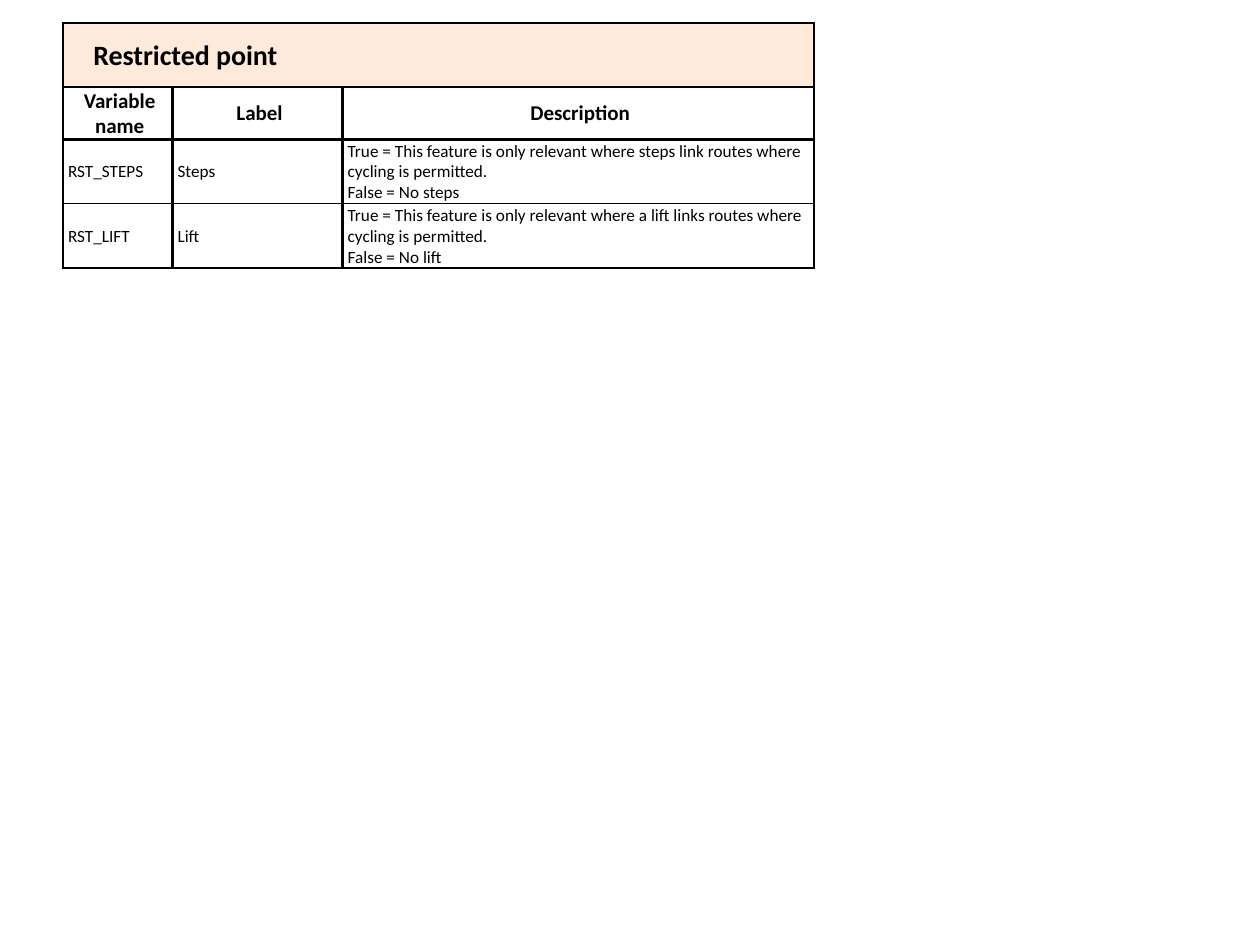
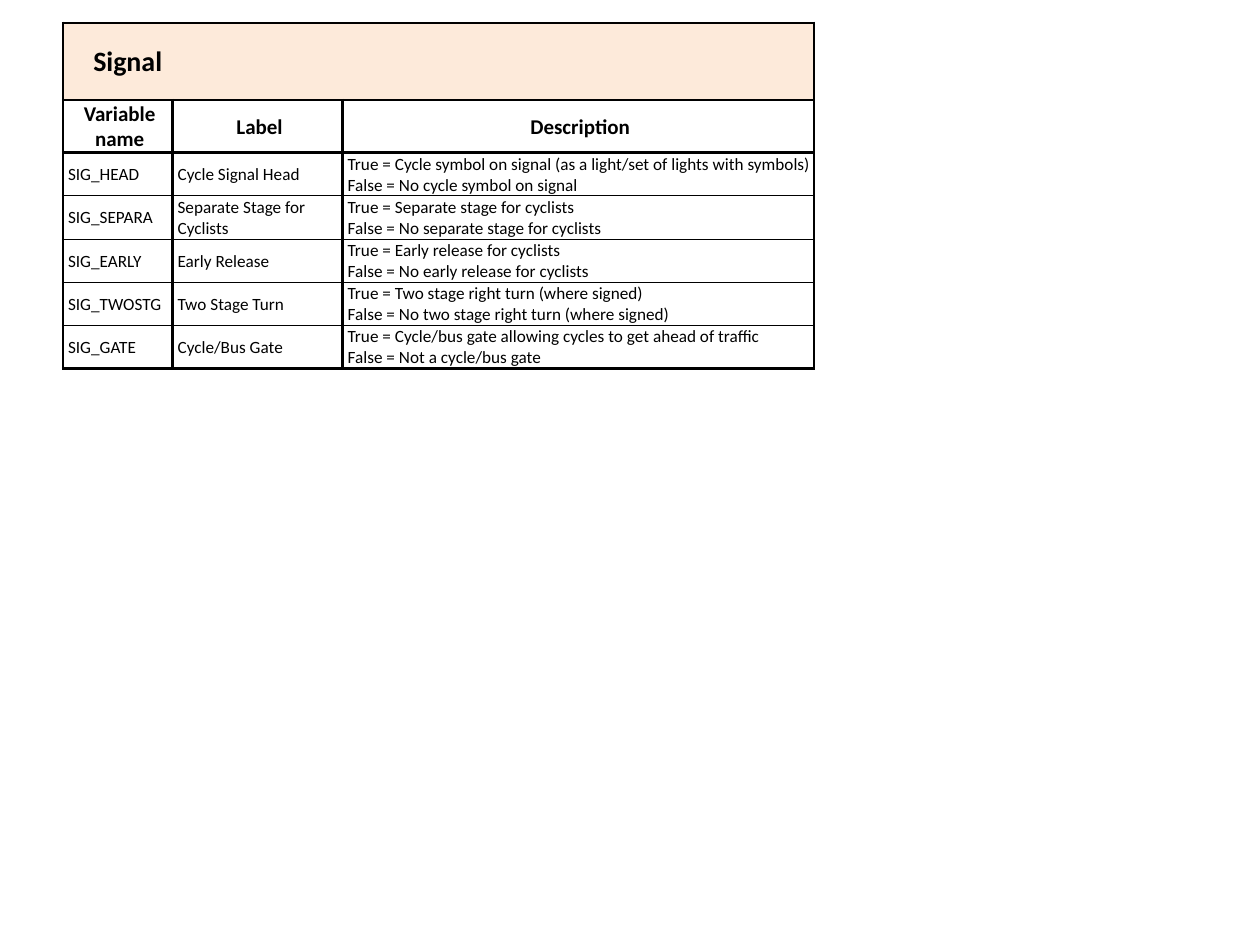
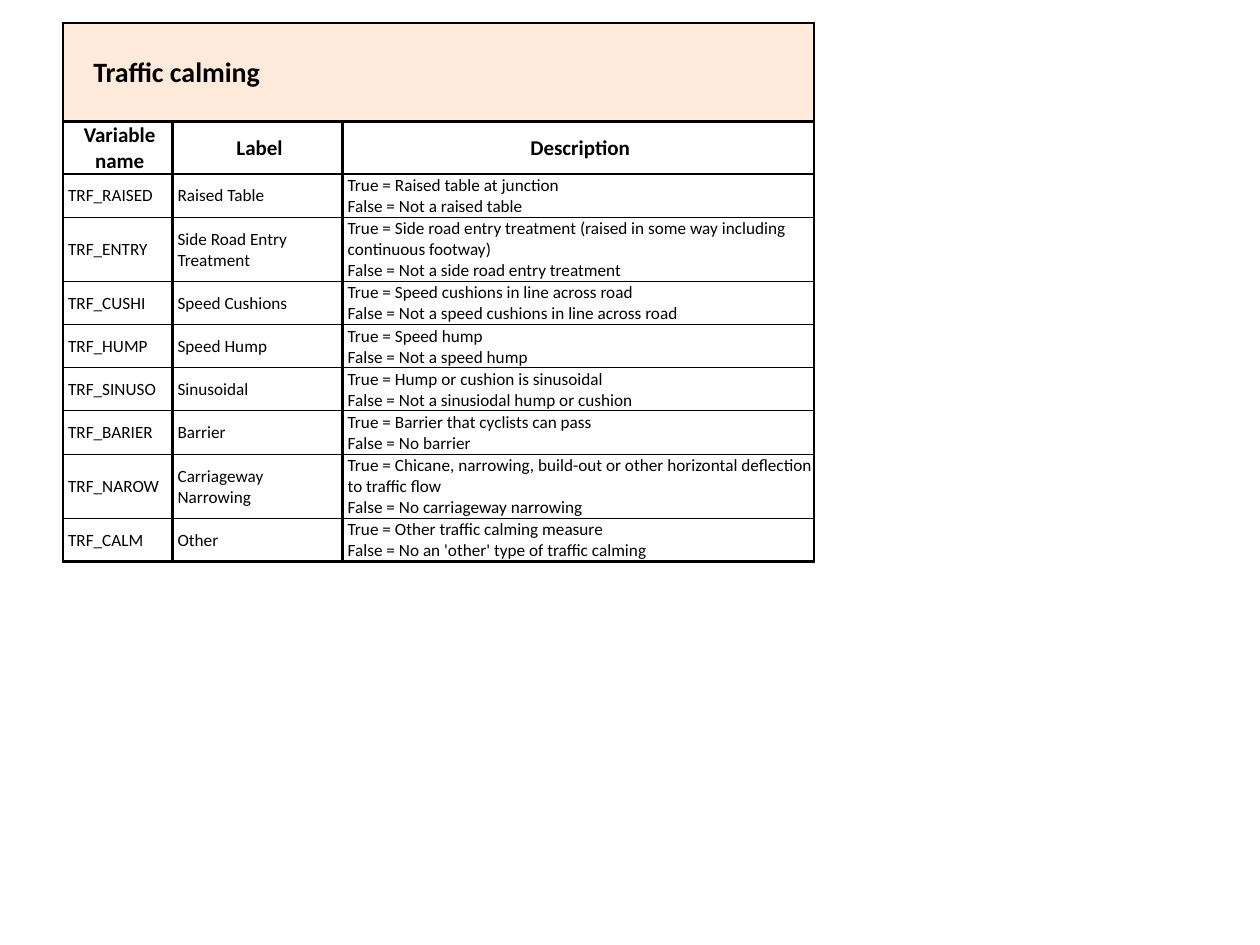
import pptx
import pptx.util
import pptx.dml.color
import pptx.enum.text
import pptx.oxml
import pptx.oxml.ns

Pt = pptx.util.Pt
INK = "000000"
PAPER = "FFFFFF"
BAND = "FDEADA"
FONT = "Calibri"
THICK, THIN = 1.5, 0.5
WIDTHS = (62.6, 97.2, 269.3)
HEADS = ("Variable name", "Label", "Description")
ROW = 18

TABLES = [
    ("Restricted point", 36.7, [
        ("RST_STEPS", "Steps", "True = This feature is only relevant where steps link routes where cycling is permitted.\nFalse = No steps"),
        ("RST_LIFT", "Lift", "True = This feature is only relevant where a lift links routes where cycling is permitted.\nFalse = No lift"),
    ]),
    ("Signal", 44.2, [
        ("SIG_HEAD", "Cycle Signal Head", "True = Cycle symbol on signal (as a light/set of lights with symbols)\nFalse = No cycle symbol on signal"),
        ("SIG_SEPARA", "Separate Stage for Cyclists", "True = Separate stage for cyclists\nFalse = No separate stage for cyclists"),
        ("SIG_EARLY", "Early Release", "True = Early release for cyclists\nFalse = No early release for cyclists"),
        ("SIG_TWOSTG", "Two Stage Turn", "True = Two stage right turn (where signed)\nFalse = No two stage right turn (where signed)"),
        ("SIG_GATE", "Cycle/Bus Gate", "True = Cycle/bus gate allowing cycles to get ahead of traffic\nFalse = Not a cycle/bus gate"),
    ]),
    ("Traffic calming", 56.4, [
        ("TRF_RAISED", "Raised Table", "True = Raised table at junction\nFalse = Not a raised table"),
        ("TRF_ENTRY", "Side Road Entry Treatment", "True = Side road entry treatment (raised in some way including continuous footway)\nFalse = Not a side road entry treatment"),
        ("TRF_CUSHI", "Speed Cushions", "True = Speed cushions in line across road\nFalse = Not a speed cushions in line across road"),
        ("TRF_HUMP", "Speed Hump", "True = Speed hump\nFalse = Not a speed hump"),
        ("TRF_SINUSO", "Sinusoidal", "True = Hump or cushion is sinusoidal\nFalse = Not a sinusiodal hump or cushion"),
        ("TRF_BARIER", "Barrier", "True = Barrier that cyclists can pass\nFalse = No barrier"),
        ("TRF_NAROW", ("Carriageway", "Narrowing"), "True = Chicane, narrowing, build-out or other horizontal deflection to traffic flow\nFalse = No carriageway narrowing"),
        ("TRF_CALM", "Other", "True = Other traffic calming measure\nFalse = No an 'other' type of traffic calming"),
    ]),
]


def tint(code):
    return pptx.dml.color.RGBColor.from_string(code)


def rule(cell, **sides):
    props = cell._tc.get_or_add_tcPr()
    for spot, side in enumerate("LRTB"):
        width = sides[side]
        fill = f'<a:solidFill><a:srgbClr val="{INK}"/></a:solidFill>' if width else "<a:noFill/>"
        line = pptx.oxml.parse_xml(
            f'<a:ln{side} {pptx.oxml.ns.nsdecls("a")} w="{Pt(width)}">{fill}</a:ln{side}>')
        props.insert(spot, line)


def write(cell, text, size, bold=False, align=None, left=2.9):
    cell.vertical_anchor = pptx.enum.text.MSO_ANCHOR.MIDDLE
    cell.margin_left = Pt(left)
    cell.margin_right = cell.margin_top = Pt(0.7)
    cell.margin_bottom = 0
    frame = cell.text_frame
    for spot, part in enumerate([text] if isinstance(text, str) else text):
        para = frame.add_paragraph() if spot else frame.paragraphs[0]
        para.text = part
        para.alignment = align
        para.font.name = FONT
        para.font.size = Pt(size)
        para.font.bold = bold
        para.font.color.rgb = tint(INK)


def paint(cell, code):
    cell.fill.solid()
    cell.fill.fore_color.rgb = tint(code)


def add_band(grid, title):
    for col in range(3):
        cell = grid.cell(0, col)
        paint(cell, BAND)
        rule(cell, L=0 if col else THICK, R=THICK if col == 2 else 0, T=THICK, B=THICK)
    grid.cell(0, 0).merge(grid.cell(0, 1))
    write(grid.cell(0, 0), title, 16, True, left=17.3)


def add_grid(slide, left, top, title, high, rows):
    count = len(rows) + 2
    grid = slide.shapes.add_table(
        count, 3, Pt(left), Pt(top), Pt(sum(WIDTHS)), Pt(high + ROW * (count - 1))).table
    grid.first_row = grid.horz_banding = False
    for col, width in zip(grid.columns, WIDTHS):
        col.width = Pt(width)
    for spot, row in enumerate(grid.rows):
        row.height = Pt(ROW if spot else high)
    add_band(grid, title)
    for spot, texts in enumerate([HEADS] + rows, 1):
        for col, text in enumerate(texts):
            cell = grid.cell(spot, col)
            if spot == 1:
                write(cell, text, 12, True, pptx.enum.text.PP_ALIGN.CENTER)
            else:
                write(cell, text, 9.8)
            if col == 1:
                cell.fill.background()
            else:
                paint(cell, PAPER)
            rule(cell, L=THICK, R=THICK, T=THICK if spot < 3 else THIN,
                 B=THICK if spot in (1, count - 1) else THIN)


def main():
    deck = pptx.Presentation()
    deck.slide_width, deck.slide_height = Pt(720), Pt(540)
    for title, high, rows in TABLES:
        slide = deck.slides.add_slide(deck.slide_layouts[6])
        add_grid(slide, 36, 13, title, high, rows)
    deck.save("out.pptx")


if __name__ == "__main__":
    main()
